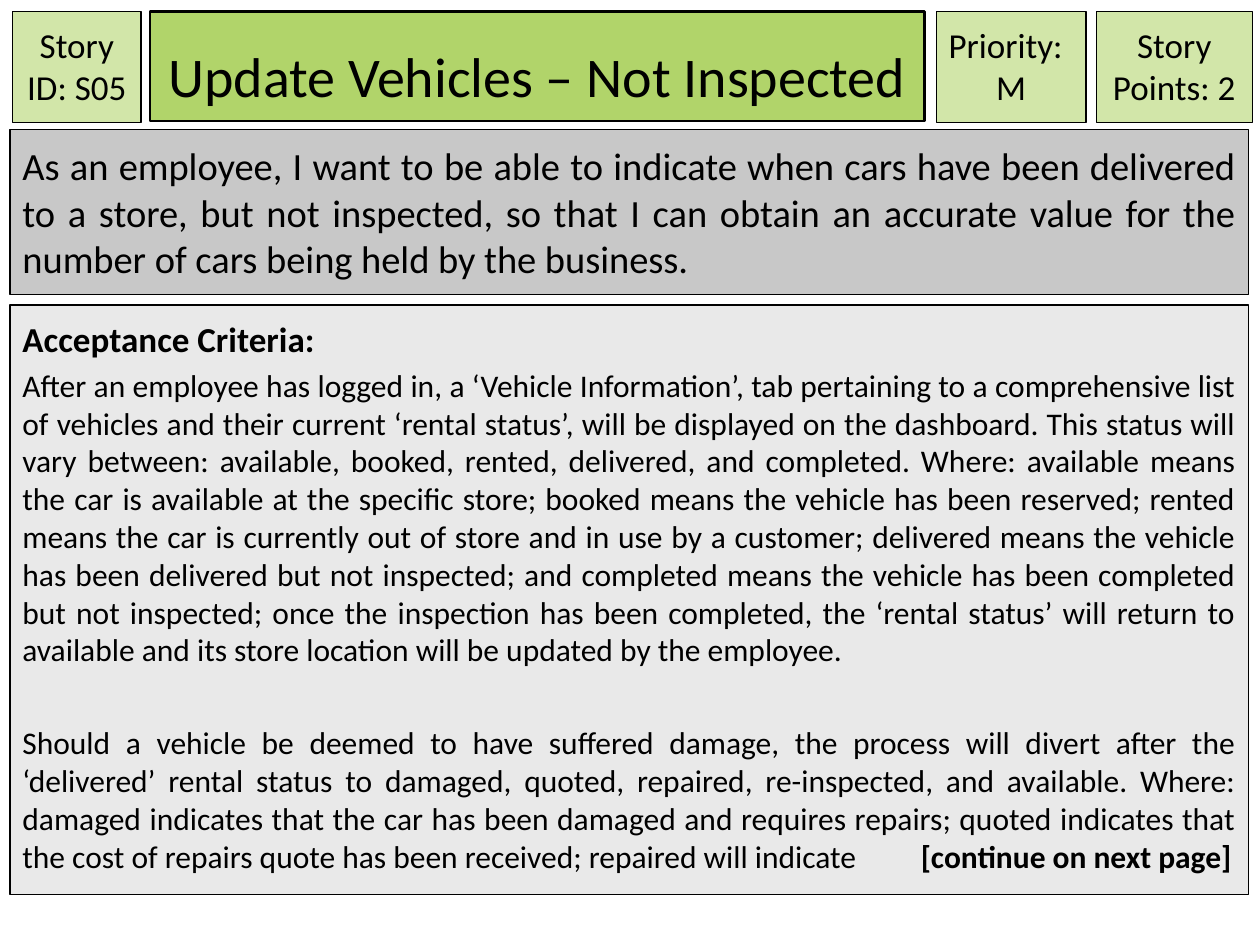
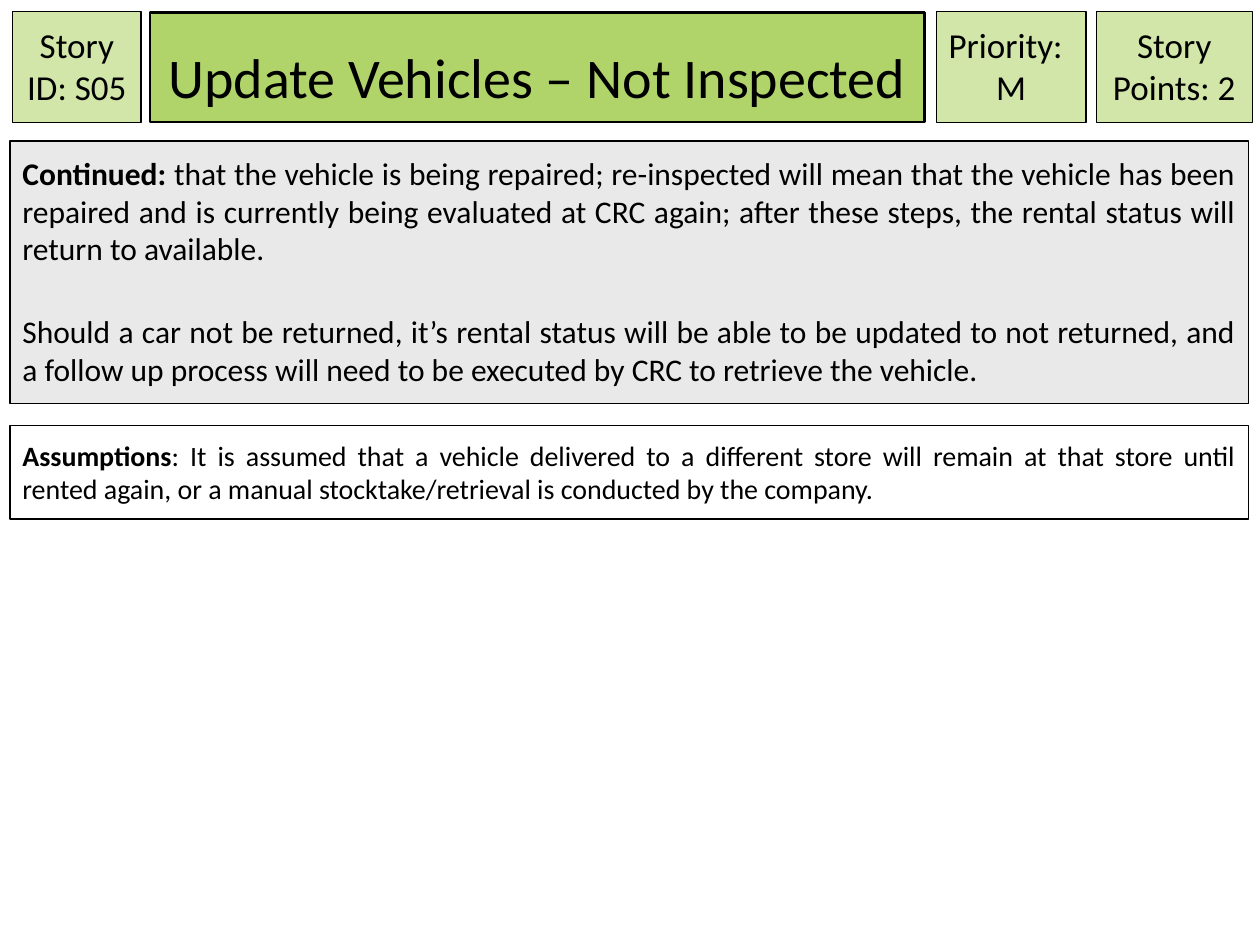
import pptx
import pptx.dml.color
import pptx.enum.shapes
import pptx.enum.text
import pptx.oxml
import pptx.oxml.ns
import pptx.util
from pptx.util import Inches

BLACK = pptx.dml.color.RGBColor(0x00, 0x00, 0x00)
WHITE = pptx.dml.color.RGBColor(0xFF, 0xFF, 0xFF)
TITLE_GREEN = pptx.dml.color.RGBColor(0xB1, 0xD4, 0x6A)
TAG_GREEN = pptx.dml.color.RGBColor(0xD2, 0xE6, 0xA9)
STORY_GREY = pptx.dml.color.RGBColor(0xC8, 0xC8, 0xC8)
CRITERIA_GREY = pptx.dml.color.RGBColor(0xE9, 0xE9, 0xE9)

ALIGN = pptx.enum.text.PP_ALIGN
ANCHOR = pptx.enum.text.MSO_ANCHOR
Pt = pptx.util.Pt

FRAME_FORMAT = {
    "word_wrap": True,
    "margin_left": Inches(0.1),
    "margin_right": Inches(0.1),
    "margin_top": Inches(0.1),
    "margin_bottom": Inches(0.1),
}
LEFT = {"alignment": ALIGN.LEFT}
CENTRED = {"alignment": ALIGN.CENTER}
HEADING = {"alignment": ALIGN.LEFT, "space_before": Pt(6)}
OPENING = {"alignment": ALIGN.JUSTIFY, "space_before": Pt(6)}
BODY = {"alignment": ALIGN.JUSTIFY, "space_before": Pt(3.6), "space_after": Pt(6)}
SEPARATE_BODY = {**BODY, "space_before": Pt(25.5)}

PANEL_LEFT, PANEL_WIDTH = 0.08, 9.83
TAG_TOP, TAG_HEIGHT = 0.09, 0.88
CONTINUE_TAB = 7.13


def apply_format(target, values):
    for attribute, value in values.items():
        setattr(target, attribute, value)


def add_card(slide, box, fill, size, paragraphs, anchor=ANCHOR.TOP, border=0.75):
    card = slide.shapes.add_shape(
        pptx.enum.shapes.MSO_SHAPE.RECTANGLE, *[Inches(length) for length in box])
    card.shadow.inherit = False
    card.fill.solid()
    card.fill.fore_color.rgb = fill
    card.line.color.rgb = BLACK
    card.line.width = Pt(border)
    frame = card.text_frame
    apply_format(frame, {**FRAME_FORMAT, "vertical_anchor": anchor})
    for index, (layout, runs) in enumerate(paragraphs):
        paragraph = frame.add_paragraph() if index else frame.paragraphs[0]
        apply_format(paragraph, layout)
        for text, *emphasis in runs:
            run = paragraph.add_run()
            run.text = text
            apply_format(run.font, {"name": "Calibri", "size": Pt(size), "bold": False})
            apply_format(run.font, emphasis[0] if emphasis else {})
            run.font.color.rgb = BLACK
    return card


BOLD = {"bold": True}

tags = [
    (0.1, 1.02, [(CENTRED, [("Story ID: S05",)])]),
    (7.43, 1.19, [(LEFT, [("Priority:",)]), (CENTRED, [("M",)])]),
    (8.7, 1.24, [(CENTRED, [("Story Points: 2",)])]),
]

story = [(OPENING, [(
    "As an employee, I want to be able to indicate when cars have been delivered "
    "to a store, but not inspected, so that I can obtain an accurate value for the "
    "number of cars being held by the business.",)])]

criteria = [
    (HEADING, [("Acceptance Criteria:", {"bold": True, "size": Pt(20)})]),
    (BODY, [(
        "After an employee has logged in, a ‘Vehicle Information’, tab pertaining to a "
        "comprehensive list of vehicles and their current ‘rental status’, will be "
        "displayed on the dashboard. This status will vary between: available, booked, "
        "rented, delivered, and completed. Where: available means the car is available "
        "at the specific store; booked means the vehicle has been reserved; rented means "
        "the car is currently out of store and in use by a customer; delivered means the "
        "vehicle has been delivered but not inspected; and completed means the vehicle "
        "has been completed but not inspected; once the inspection has been completed, "
        "the ‘rental status’ will return to available and its store location will be "
        "updated by the employee.",)]),
    (SEPARATE_BODY, [
        ("Should a vehicle be deemed to have suffered damage, the process will divert "
         "after the ‘delivered’ rental status to damaged, quoted, repaired, "
         "re-inspected, and available. Where: damaged indicates that the car has been "
         "damaged and requires repairs; quoted indicates that the cost of repairs quote "
         "has been received; repaired will indicate\t",),
        ("[continue on next page]", BOLD)]),
]

continued = [
    (OPENING, [
        ("Continued: ", BOLD),
        ("that the vehicle is being repaired; re-inspected will mean that the vehicle "
         "has been repaired and is currently being evaluated at CRC again; after these "
         "steps, the rental status will return to available.",)]),
    (SEPARATE_BODY, [(
        "Should a car not be returned, it’s rental status will be able to be updated to "
        "not returned, and a follow up process will need to be executed by CRC to "
        "retrieve the vehicle.",)]),
]

assumptions = [(OPENING, [
    ("Assumptions", BOLD),
    (": It is assumed that a vehicle delivered to a different store will remain at that "
     "store until rented again, or a manual stocktake/retrieval is conducted by the "
     "company.",)])]

story_pages = [
    (0.09, [(1.03, 1.31, STORY_GREY, 22, story),
            (2.42, 4.68, CRITERIA_GREY, 18, criteria)]),
    (0.1, [(1.12, 2.08, CRITERIA_GREY, 18, continued),
           (3.38, 0.74, WHITE, 16, assumptions)]),
]

deck = pptx.Presentation()
apply_format(deck, {"slide_width": Inches(10), "slide_height": Inches(7.5)})

for title_top, panels in story_pages:
    page = deck.slides.add_slide(deck.slide_layouts[6])
    add_card(page, (1.19, title_top, 6.15, 0.87), TITLE_GREEN, 32,
             [(CENTRED, [("Update Vehicles – Not Inspected",)])], ANCHOR.BOTTOM, 1.5)
    for left, width, label in tags:
        add_card(page, (left, TAG_TOP, width, TAG_HEIGHT), TAG_GREEN, 20, label)
    for top, height, fill, size, content in panels:
        panel = add_card(page, (PANEL_LEFT, top, PANEL_WIDTH, height), fill, size, content)
        if content is criteria:
            properties = panel.text_frame.paragraphs[-1]._p.get_or_add_pPr()
            properties.append(pptx.oxml.parse_xml(
                f'<a:tabLst {pptx.oxml.ns.nsdecls("a")}>'
                f'<a:tab pos="{Inches(CONTINUE_TAB)}" algn="l"/></a:tabLst>'))

deck.save("out.pptx")
